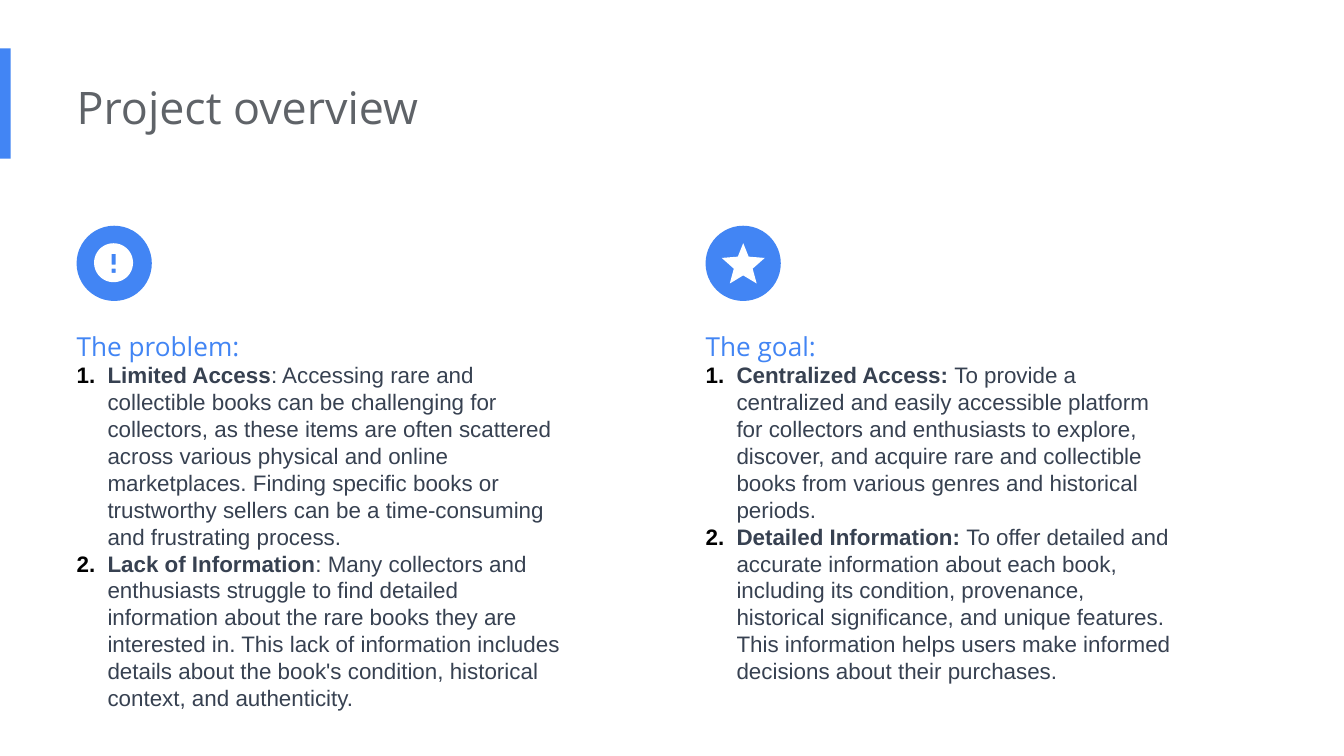
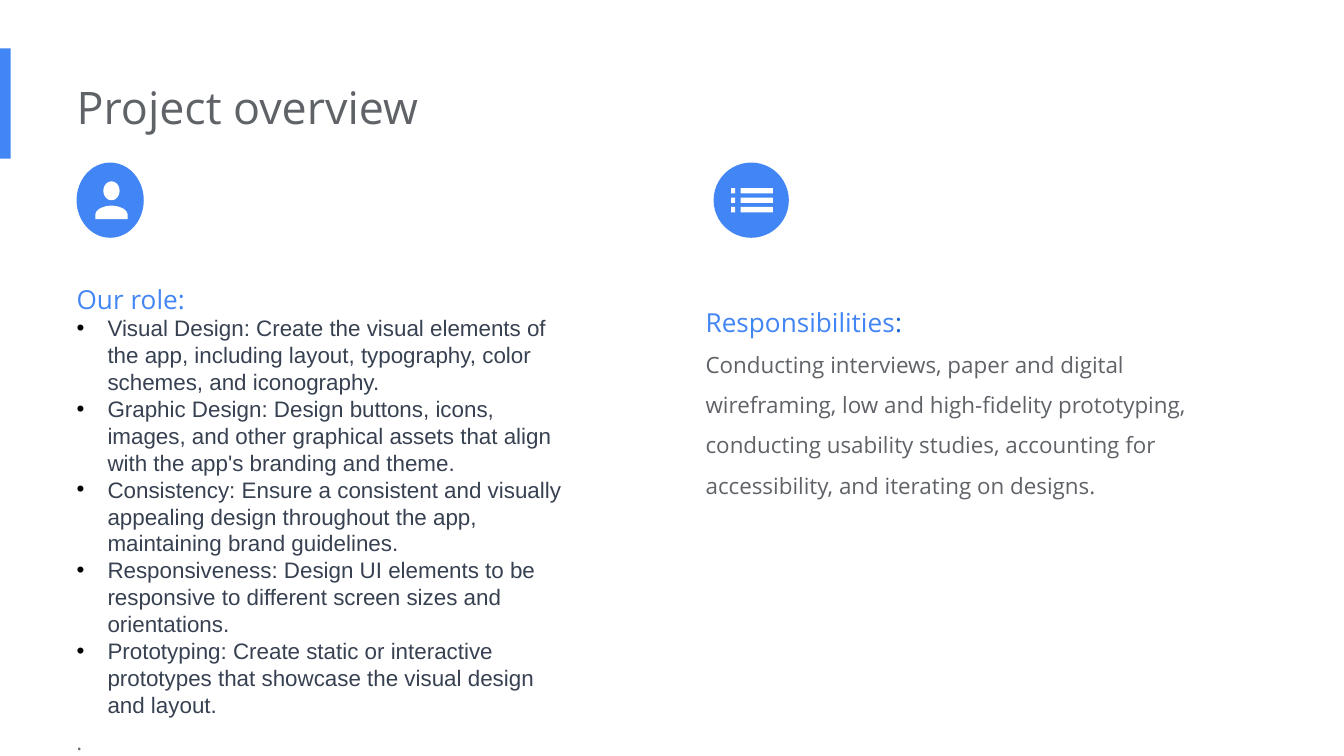
from math import cos, pi, sin

from lxml.etree import SubElement
from pptx import Presentation
from pptx.dml.color import RGBColor
from pptx.enum.shapes import MSO_SHAPE as Shape
from pptx.enum.text import MSO_ANCHOR as Anchor, MSO_AUTO_SIZE as Auto, PP_ALIGN as Align
from pptx.oxml.ns import qn
from pptx.util import Inches, Pt

BLUE = RGBColor(0x42, 0x85, 0xF4)
NAVY = RGBColor(0x19, 0x67, 0xD2)
GRAY = RGBColor(0x5F, 0x63, 0x68)
SLATE = RGBColor(0x37, 0x41, 0x51)
WHITE = RGBColor(0xFF, 0xFF, 0xFF)

# Text styles: size, font, colour, bold
STYLES = {
    "title": (24, "Open Sans", GRAY, False),
    "head": (14, "Open Sans", BLUE, False),
    "colon": (14, "Open Sans", NAVY, False),
    "bold": (12, "Arial", SLATE, True),
    "item": (12, "Arial", SLATE, False),
    "plain": (12, "Open Sans", GRAY, False),
    "dot": (11, "Open Sans", GRAY, False),
}
INDENT = Inches(0.23)

# Icon outlines, in hundredths of an inch
ROUND = [(cos(i * pi / 30), sin(i * pi / 30)) for i in range(60)]
ALERT = [
    [(84.5 + 14.5 * x, 195.5 + 14.5 * y) for x, y in ROUND],
    [(83, 189), (86, 189), (86, 197), (83, 197)],
    [(83, 200), (86, 200), (86, 203), (83, 203)],
]
STAR = [[(553, 205), (563, 211), (560, 200), (569, 192), (557, 191),
         (553, 181), (549, 191), (537, 192), (546, 200), (543, 211)]]
ARC = [(12 * t * (1 - t) ** 2 + 36 * t * t * (1 - t) + 12 * t ** 3,
        6 * t * t * (1 - t) + 7 * t ** 3) for t in [i / 12 for i in range(13)]]
PERSON = [
    [(83 + 6 * x, 142 + 7 * y) for x, y in ROUND],
    [(83 - x, 153 + y) for x, y in reversed(ARC)]
    + [(83 + x, 153 + y) for x, y in ARC] + [(95, 163), (71, 163)],
]
LIST = [[(a, y), (b, y), (b, y + 4), (a, y + 4)]
        for y in (140, 147, 154) for a, b in ((544, 547), (551, 575))]

# Columns: text box, circle, icon, paragraphs of (bullet, runs)
PROBLEM = ((0.57, 2.24, 3.77, 3.28), (0.57, 1.68, 0.56, 0.56), ALERT, [
    ("", [("The problem:", "head")]),
    ("1.", [("Limited Access", "bold"),
            (": Accessing rare and collectible books can be challenging for collectors, "
             "as these items are often scattered across various physical and online "
             "marketplaces. Finding specific books or trustworthy sellers can be a "
             "time-consuming and frustrating process.", "item")]),
    ("1.", [("Lack of Information", "bold"),
            (": Many collectors and enthusiasts struggle to find detailed information "
             "about the rare books they are interested in. This lack of information "
             "includes details about the book's condition, historical context, and "
             "authenticity.", "item")]),
])
GOAL = ((5.25, 2.24, 3.58, 2.57), (5.25, 1.68, 0.56, 0.56), STAR, [
    ("", [("The goal:", "head")]),
    ("1.", [("Centralized Access:", "bold"),
            (" To provide a centralized and easily accessible platform for collectors "
             "and enthusiasts to explore, discover, and acquire rare and collectible "
             "books from various genres and historical periods.", "item")]),
    ("1.", [("Detailed Information:", "bold"),
            (" To offer detailed and accurate information about each book, including "
             "its condition, provenance, historical significance, and unique features. "
             "This information helps users make informed decisions about their "
             "purchases.", "item")]),
])
DUTIES = [
    "Visual Design: Create the visual elements of the app, including layout, "
    "typography, color schemes, and iconography.",
    "Graphic Design: Design buttons, icons, images, and other graphical assets that "
    "align with the app's branding and theme.",
    "Consistency: Ensure a consistent and visually appealing design throughout the "
    "app, maintaining brand guidelines.",
    "Responsiveness: Design UI elements to be responsive to different screen sizes "
    "and orientations.",
    "Prototyping: Create static or interactive prototypes that showcase the visual "
    "design and layout.",
]
ROLE = ((0.57, 1.89, 3.77, 3.46), (0.57, 1.21, 0.5, 0.56), PERSON,
        [("", [("Our role:", "head")])]
        + [("•", [(duty, "item")]) for duty in DUTIES]
        + [("", [(".", "dot")])])
TASKS = ((5.25, 2.06, 3.77, 1.67), (5.31, 1.21, 0.56, 0.56), LIST, [
    ("", [("Responsibilities", "head"), (":", "colon")]),
    ("", [("Conducting interviews, paper and digital wireframing, low and high-fidelity "
           "prototyping, conducting usability studies, accounting for accessibility, "
           "and iterating on designs.", "plain")]),
])


def write(holder, box, paras, space):
    """Place a placeholder and fill it with styled paragraphs."""
    holder.left, holder.top, holder.width, holder.height = map(Inches, box)
    frame = holder.text_frame
    frame.word_wrap = True
    frame.auto_size = Auto.NONE
    frame.vertical_anchor = Anchor.TOP
    frame.margin_left = 0
    frame.margin_top = frame.margin_right = frame.margin_bottom = Inches(0.1)
    for i, (mark, runs) in enumerate(paras):
        para = frame.add_paragraph() if i else frame.paragraphs[0]
        props = para._p.get_or_add_pPr()
        props.set("marL", str(INDENT if mark else 0))
        props.set("indent", str(-INDENT if mark else 0))
        if mark:
            SubElement(SubElement(props, qn("a:buClr")), qn("a:srgbClr"), val="000000")
            SubElement(props, qn("a:buFont"), typeface="Arial")
        if mark == "1.":
            SubElement(props, qn("a:buAutoNum"), type="arabicPeriod")
        elif mark:
            SubElement(props, qn("a:buChar"), char=mark)
        else:
            SubElement(props, qn("a:buNone"))
        para.alignment = Align.LEFT
        para.space_before = para.space_after = Pt(0)
        para.line_spacing = 1.0 if mark else space
        for text, style in runs:
            run = para.add_run()
            run.text = text
            size, run.font.name, color, run.font.bold = STYLES[style]
            run.font.size = Pt(size)
            run.font.color.rgb = color


def paint(shape, color):
    """Give a shape a flat fill without line or shadow."""
    shape.shadow.inherit = False
    shape.fill.solid()
    shape.fill.fore_color.rgb = color
    shape.line.fill.background()


# Widescreen, 16 to 9
deck = Presentation()
deck.slide_width = Inches(10)
deck.slide_height = deck.slide_width * 9 // 16

for columns in ((PROBLEM, GOAL), (ROLE, TASKS)):
    slide = deck.slides.add_slide(deck.slide_layouts[3])
    shapes = slide.shapes

    # Side band and title
    band = shapes.add_shape(Shape.RECTANGLE, 0, Inches(0.36), Inches(0.08), Inches(0.82))
    paint(band, BLUE)
    write(shapes.title, (0.57, 0.49, 6.73, 0.61),
          [("", [("Project overview", "title")])], 1.0)

    # Two columns, each with text below a round icon
    for spot, (box, circle, icon, paras) in enumerate(columns, 1):
        write(slide.placeholders[spot], box, paras, 1.5)
        paint(shapes.add_shape(Shape.OVAL, *map(Inches, circle)), BLUE)
        pen = None
        for ring in icon:
            points = [(Inches(x / 100), Inches(y / 100)) for x, y in ring]
            if pen:
                pen.move_to(*points[0])
            else:
                pen = shapes.build_freeform(*points[0])
            pen.add_line_segments(points[1:], close=True)
        paint(pen.convert_to_shape(), WHITE)

deck.save("out.pptx")
